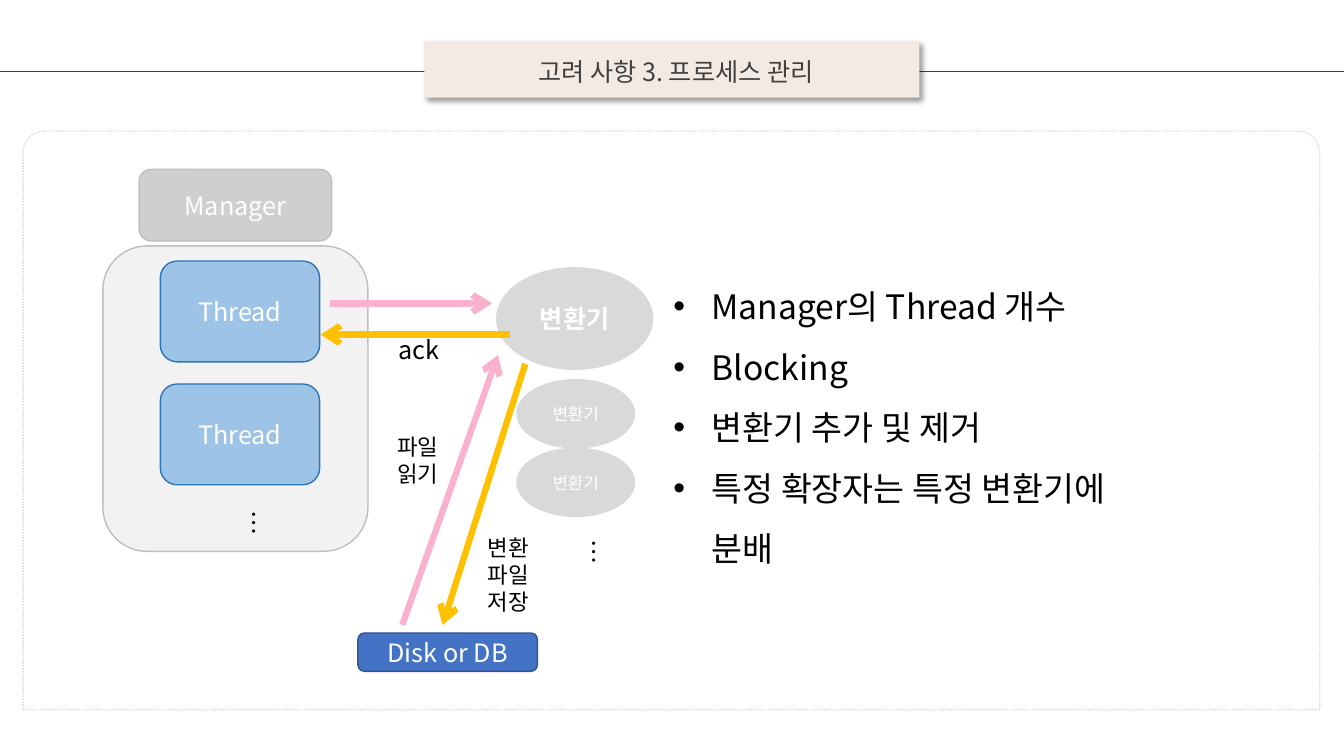
from dataclasses import dataclass
from typing import Optional

from lxml.etree import SubElement
from pptx import Presentation
from pptx.dml.color import RGBColor
from pptx.enum.dml import MSO_LINE
from pptx.enum.shapes import MSO_CONNECTOR, MSO_SHAPE as Preset
from pptx.enum.text import MSO_ANCHOR as Anchor, PP_ALIGN as Align
from pptx.oxml.ns import qn
from pptx.util import Emu, Pt

PX = 9144  # 100 px to the inch
FONT = "Noto Sans CJK KR"
COLORS = {
    "white": "FFFFFF", "black": "000000", "ink": "404040", "banner": "F4EAE4",
    "oval": "D9D9D9", "pool": "F2F2F2", "edge": "BFBFBF", "manager": "D0CECE",
    "thread": "9DC3E6", "thread_edge": "2E75B6", "disk": "4472C4",
    "disk_edge": "325491", "pink": "FAB1CE", "amber": "FFC000",
}


@dataclass
class Block:
    left: int
    top: int
    width: int
    height: int
    fill: str
    preset: Preset = Preset.ROUNDED_RECTANGLE
    edge: Optional[str] = None
    text: str = ""
    size: int = 18
    bold: bool = False


@dataclass
class Label:
    left: int
    top: int
    width: int
    height: int
    text: str
    size: int = 18
    color: str = "black"
    align: Align = Align.LEFT
    turn: int = 0


@dataclass
class Rule:
    start: tuple[int, int]
    end: tuple[int, int]
    color: str
    weight: float = 4.5
    arrow: bool = True


def px(*lengths: int) -> list[Emu]:
    return [Emu(length * PX) for length in lengths]


def rgb(name: str) -> RGBColor:
    return RGBColor.from_string(COLORS[name])


def style_text(frame, size: int, color: str, align: Align, bold: bool = False) -> None:
    for para in frame.paragraphs:
        para.alignment = align
        for span in para.runs:
            span.font.name = FONT
            span.font.size = Pt(size)
            span.font.bold = bold
            span.font.color.rgb = rgb(color)
            SubElement(span.font._element, qn("a:ea"), typeface=FONT)


def draw_block(page, block: Block):
    shape = page.shapes.add_shape(
        block.preset, *px(block.left, block.top, block.width, block.height))
    shape.shadow.inherit = False
    shape.fill.solid()
    shape.fill.fore_color.rgb = rgb(block.fill)
    if block.edge:
        shape.line.color.rgb = rgb(block.edge)
        shape.line.width = Pt(1)
    else:
        shape.line.fill.background()
    if block.text:
        shape.text_frame.text = block.text
        shape.text_frame.vertical_anchor = Anchor.MIDDLE
        style_text(shape.text_frame, block.size, "white", Align.CENTER, block.bold)
    return shape


def draw_label(page, label: Label):
    box = page.shapes.add_textbox(*px(label.left, label.top, label.width, label.height))
    box.rotation = label.turn
    box.text_frame.word_wrap = True
    box.text_frame.text = label.text
    style_text(box.text_frame, label.size, label.color, label.align)
    return box


def draw_rule(page, rule: Rule) -> None:
    line = page.shapes.add_connector(MSO_CONNECTOR.STRAIGHT, *px(*rule.start, *rule.end))
    line.line.color.rgb = rgb(rule.color)
    line.line.width = Pt(rule.weight)
    if rule.arrow:
        SubElement(line.line._get_or_add_ln(), qn("a:tailEnd"), type="arrow")
    SubElement(line._element.spPr, qn("a:effectLst"))


def add_shadow(shape) -> None:
    effects = shape._element.spPr.find(qn("a:effectLst"))
    shadow = SubElement(effects, qn("a:outerShdw"), blurRad=str(Pt(4)), dist=str(Pt(3)),
                        dir=str(45 * 60000), algn="tl", rotWithShape="0")
    tint = SubElement(shadow, qn("a:srgbClr"), val=COLORS["black"])
    SubElement(tint, qn("a:alpha"), val="40000")


def add_bullets(frame, indent: int) -> None:
    for para in frame.paragraphs:
        para.line_spacing = 1.5
        properties = para._p.get_or_add_pPr()
        properties.set("marL", str(indent * PX))
        properties.set("indent", str(-indent * PX))
        SubElement(properties, qn("a:buFont"), typeface="Arial")
        SubElement(properties, qn("a:buChar"), char="•")


PANEL = Block(23, 130, 1286, 574, "white", Preset.ROUND_2_SAME_RECTANGLE, "oval")
BANNER = Block(421, 41, 491, 56, "banner", Preset.RECTANGLE)
HEADER_LINE = Rule((0, 71), (1333, 71), "ink", 0.75, arrow=False)
TITLE = Label(510, 51, 321, 40, "고려 사항 3. 프로세스 관리", 18, "ink", Align.CENTER)
POINTS = Label(658, 259, 509, 252, "\n".join([
    "Manager의 Thread 개수", "Blocking", "변환기 추가 및 제거",
    "특정 확장자는 특정 변환기에 분배"]), 24)

DIAGRAM = [
    Block(102, 244, 263, 303, "pool", edge="edge"),
    Block(138, 168, 191, 71, "manager", edge="edge", text="Manager"),
    *(Block(159, top, 158, 100, "thread", edge="thread_edge", text="Thread")
      for top in (259, 381)),
    Block(492, 265, 156, 102, "oval", Preset.OVAL, text="변환기", bold=True),
    *(Block(512, top, 118, 69, "oval", Preset.OVAL, text="변환기", size=12)
      for top in (376, 444)),
    Block(355, 628, 178, 38, "disk", edge="disk_edge", text="Disk or DB"),
]
ARROWS = [
    Rule((327, 301), (488, 301), "pink"),
    Rule((506, 332), (318, 332), "amber"),
    Rule((399, 620), (494, 352), "pink"),
    Rule((521, 361), (439, 620), "amber"),
]
LABELS = [
    Label(385, 327, 76, 77, "ack"),
    Label(384, 425, 76, 70, "파일\n읽기", 16),
    Label(474, 525, 76, 99, "변환파일 저장", 16),
    Label(545, 511, 51, 79, "…", turn=90),
    Label(220, 470, 26, 79, "…", turn=90),
]


def main() -> None:
    deck = Presentation()
    deck.slide_width, deck.slide_height = px(1333, 750)
    page = deck.slides.add_slide(deck.slide_layouts[6])

    # Panel and title banner
    panel = draw_block(page, PANEL)
    panel.adjustments[0], panel.adjustments[1] = 0.037, 0
    panel.line.dash_style = MSO_LINE.ROUND_DOT
    draw_rule(page, HEADER_LINE)
    add_shadow(draw_block(page, BANNER))
    draw_label(page, TITLE)

    # Bulleted points
    add_bullets(draw_label(page, POINTS).text_frame, 38)

    # Process diagram
    for block in DIAGRAM:
        draw_block(page, block)
    for arrow in ARROWS:
        draw_rule(page, arrow)
    for label in LABELS:
        draw_label(page, label)

    deck.save("out.pptx")


if __name__ == "__main__":
    main()
